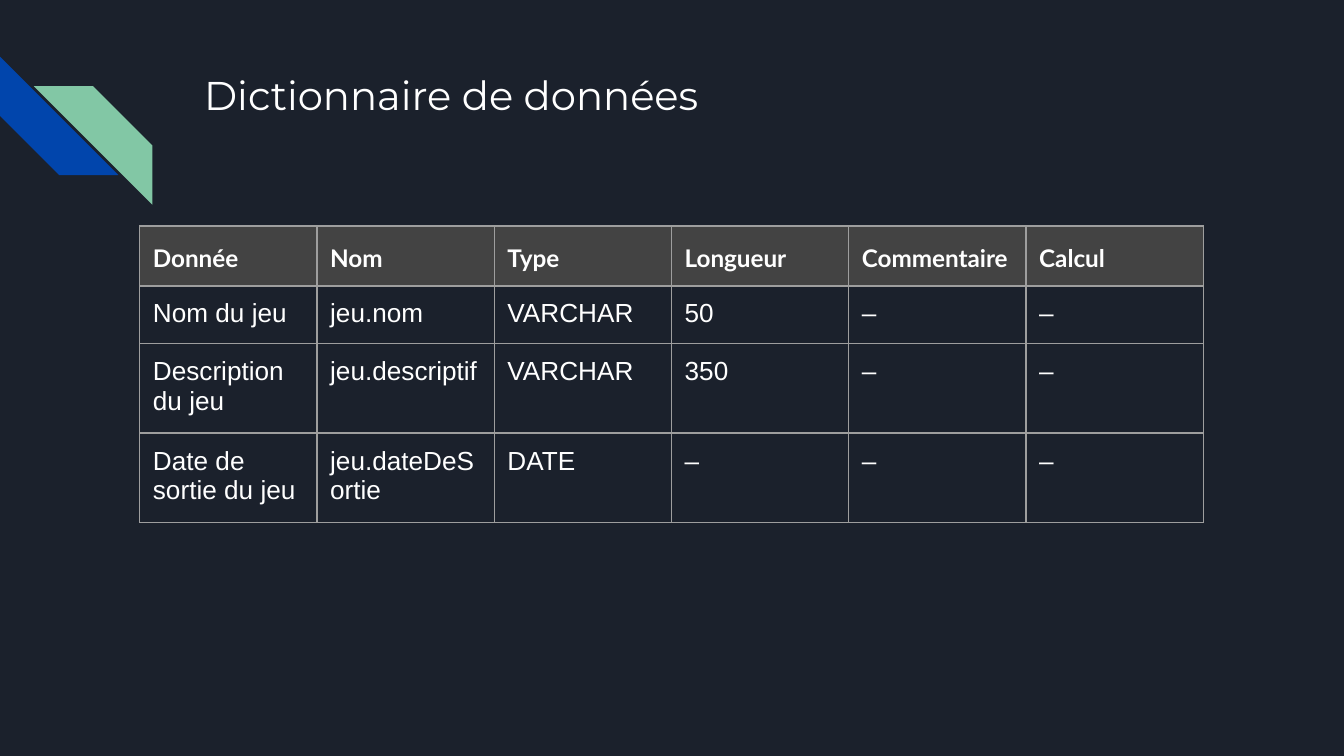
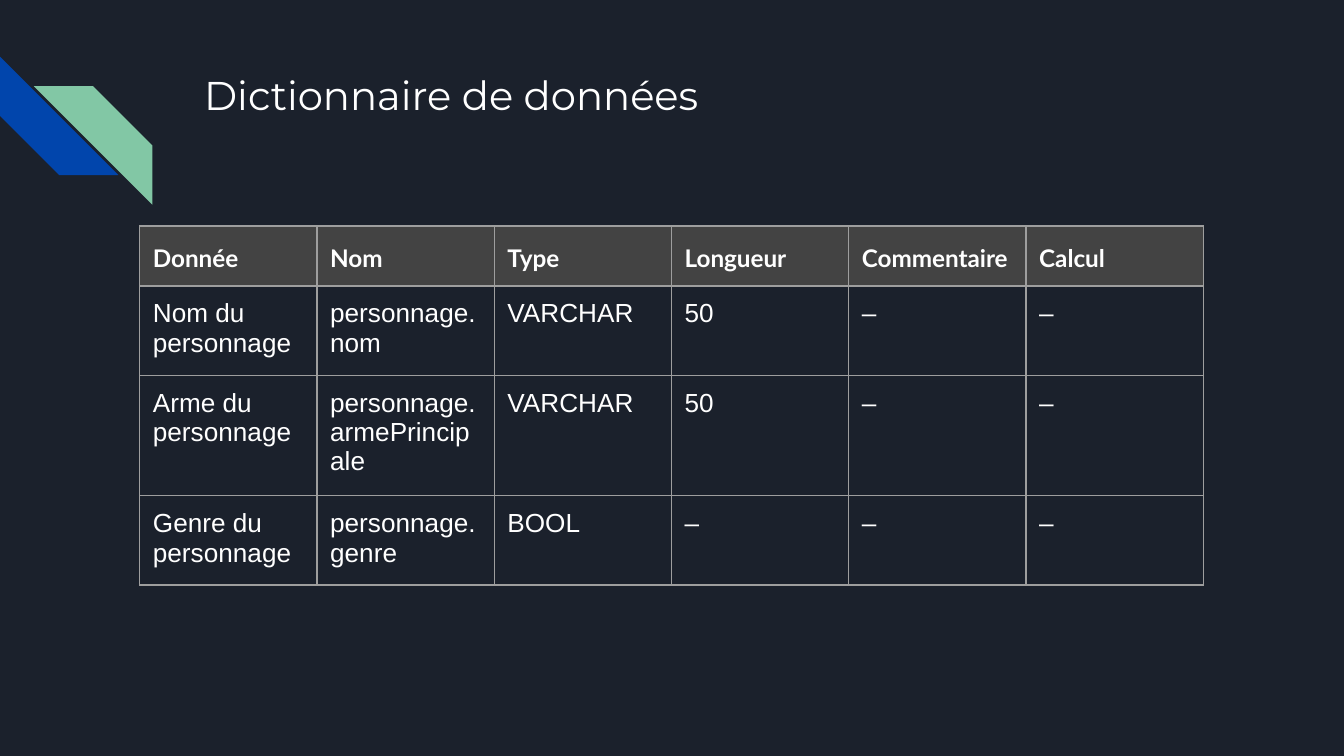
from lxml.etree import SubElement
from pptx import Presentation
from pptx.dml.color import RGBColor
from pptx.enum.shapes import MSO_SHAPE
from pptx.enum.text import MSO_ANCHOR
from pptx.oxml.ns import qn
from pptx.util import Cm, Pt

NAVY = RGBColor(0x1B, 0x21, 0x2C)
BLUE = RGBColor(0x01, 0x45, 0xAC)
GREEN = RGBColor(0x82, 0xC7, 0xA5)
WHITE = RGBColor(0xFF, 0xFF, 0xFF)
GRAY = RGBColor(0x43, 0x43, 0x43)
RULE = RGBColor(0x9E, 0x9E, 0x9E)

PAD = Cm(0.25)
TITLE = "Dictionnaire de données"
HEAD = ["Donnée", "Nom", "Type", "Longueur", "Commentaire", "Calcul"]
GAME = [
    ["Nom du jeu", "jeu.nom", "VARCHAR", "50", "–", "–"],
    ["Description du jeu", "jeu.descriptif", "VARCHAR", "350", "–", "–"],
    ["Date de sortie du jeu", "jeu.dateDeSortie", "DATE", "–", "–", "–"],
]
HERO = [
    ["Nom du personnage", "personnage.nom", "VARCHAR", "50", "–", "–"],
    ["Arme du personnage", "personnage.armePrincipale", "VARCHAR", "50", "–", "–"],
    ["Genre du personnage", "personnage.genre", "BOOL", "–", "–", "–"],
]


def set_font(para, name, size, bold=False):
    font = para.font
    font.name = name
    font.size = Pt(size)
    font.bold = bold
    font.color.rgb = WHITE


def set_pad(box):
    box.margin_left = box.margin_right = PAD
    box.margin_top = box.margin_bottom = PAD


def add_stripe(slide, left, top, turn, color):
    shape = slide.shapes.add_shape(
        MSO_SHAPE.DIAGONAL_STRIPE, Cm(left), Cm(top), Cm(2.24), Cm(2.24))
    shape.rotation = turn
    shape.shadow.inherit = False
    shape.fill.solid()
    shape.fill.fore_color.rgb = color
    shape.line.fill.background()


def add_title(slide, text):
    box = slide.shapes.add_textbox(Cm(3.61), Cm(1.09), Cm(19.56), Cm(2.54))
    frame = box.text_frame
    frame.word_wrap = True
    frame.vertical_anchor = MSO_ANCHOR.TOP
    set_pad(frame)
    frame.text = text
    set_font(frame.paragraphs[0], "Montserrat", 21.5)


def add_rules(cell):
    props = cell._tc.get_or_add_tcPr()
    for side in ("a:lnL", "a:lnR", "a:lnT", "a:lnB"):
        line = SubElement(props, qn(side), w=str(Pt(0.75)))
        fill = SubElement(line, qn("a:solidFill"))
        SubElement(fill, qn("a:srgbClr"), val=str(RULE))


def fill_cell(cell, text, is_head):
    add_rules(cell)
    set_pad(cell)
    cell.text = text
    para = cell.text_frame.paragraphs[0]
    if is_head:
        cell.fill.solid()
        cell.fill.fore_color.rgb = GRAY
        para.line_spacing = 1.15
        para.space_after = Pt(12)
        set_font(para, "Lato", 13, True)
    else:
        cell.fill.background()
        set_font(para, "Arial", 14)


def add_grid(slide, rows):
    rows = [HEAD] + rows
    wide, high = Cm(3.35), Cm(1.07)
    table = slide.shapes.add_table(
        len(rows), len(HEAD), Cm(2.64), Cm(4.27),
        wide * len(HEAD), high * len(rows)).table
    table.horz_banding = False
    for col in table.columns:
        col.width = wide
    for r, row in enumerate(rows):
        table.rows[r].height = high
        for c, text in enumerate(row):
            fill_cell(table.cell(r, c), text, r == 0)


def add_page(deck, rows):
    slide = deck.slides.add_slide(deck.slide_layouts[6])
    slide.background.fill.solid()
    slide.background.fill.fore_color.rgb = NAVY
    add_stripe(slide, 0, 1.07, 270, BLUE)
    add_stripe(slide, 0.64, 1.63, 90, GREEN)
    add_title(slide, TITLE)
    add_grid(slide, rows)


def main():
    deck = Presentation()
    deck.slide_width = Cm(25.4)
    deck.slide_height = Cm(14.29)
    for rows in (GAME, HERO):
        add_page(deck, rows)
    deck.save("out.pptx")


if __name__ == "__main__":
    main()
